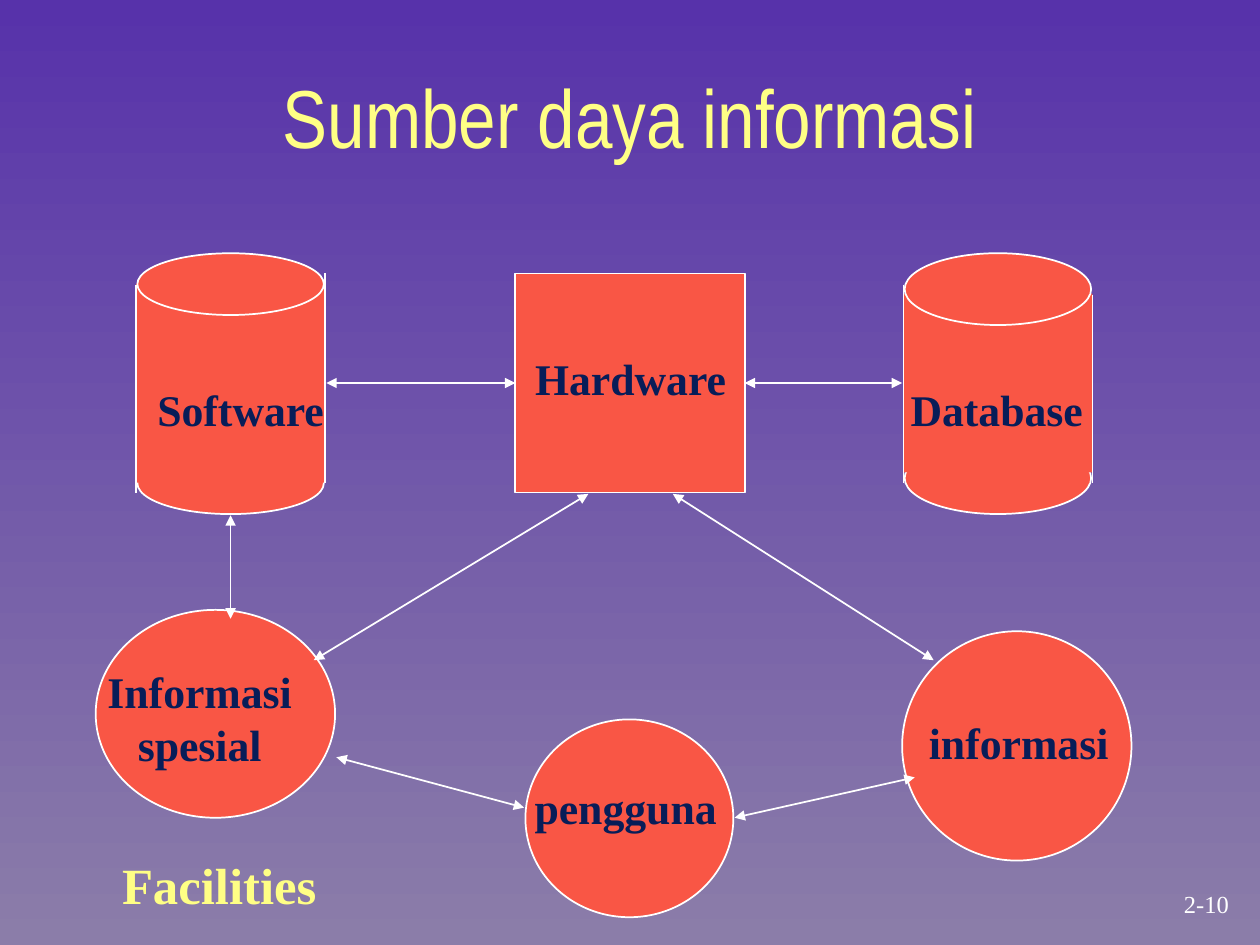
from lxml import etree
from pptx import Presentation
from pptx.dml.color import RGBColor
from pptx.enum.shapes import MSO_CONNECTOR, MSO_SHAPE
from pptx.enum.text import MSO_ANCHOR, MSO_AUTO_SIZE, PP_ALIGN
from pptx.oxml.ns import qn
from pptx.util import Inches, Pt

RECT, OVAL = MSO_SHAPE.RECTANGLE, MSO_SHAPE.OVAL
STRAIGHT = MSO_CONNECTOR.STRAIGHT
LEFT, CENTER = PP_ALIGN.LEFT, PP_ALIGN.CENTER
TOP, MIDDLE = MSO_ANCHOR.TOP, MSO_ANCHOR.MIDDLE
SIDE_LEFT, SIDE_RIGHT = 1, 3

COLORS = {
    "bg_top": "5732AA",
    "bg_bottom": "8B7DA9",
    "heading": "FFFF85",
    "node": "F95645",
    "label": "081D58",
    "line": "FFFFFF",
}
SERIF, NARROW = "Times New Roman", "Arial Narrow"


def rgb(name):
    return RGBColor.from_string(COLORS[name])


def add_background(s):
    fill = s.background.fill
    fill.gradient()
    fill.gradient_angle = 270
    for stop, name in zip(fill.gradient_stops, ("bg_top", "bg_bottom")):
        stop.color.rgb = rgb(name)


def add_text(s, box, lines, size=25, color="label", font=SERIF, bold=True,
             align=CENTER, anchor=TOP, wrap=False):
    tf = s.shapes.add_textbox(*map(Inches, box)).text_frame
    tf.word_wrap = wrap
    tf.auto_size = MSO_AUTO_SIZE.NONE if wrap else MSO_AUTO_SIZE.SHAPE_TO_FIT_TEXT
    tf.vertical_anchor = anchor
    for i, line in enumerate(lines):
        p = tf.paragraphs[0] if i == 0 else tf.add_paragraph()
        p.alignment = align
        r = p.add_run()
        r.text = line
        r.font.name, r.font.size, r.font.bold = font, Pt(size), bold
        r.font.color.rgb = rgb(color)


def add_node(s, kind, box, outline=True):
    sp = s.shapes.add_shape(kind, *map(Inches, box))
    sp.shadow.inherit = False
    sp.fill.solid()
    sp.fill.fore_color.rgb = rgb("node")
    if outline:
        sp.line.color.rgb = rgb("line")
        sp.line.width = Pt(1)
    else:
        sp.line.fill.background()
    return sp


def add_line(s, start, end, arrows=False):
    c = s.shapes.add_connector(STRAIGHT, *map(Inches, (*start, *end)))
    c.line.color.rgb = rgb("line")
    c.line.width = Pt(1)
    if arrows:
        ln = c.line._get_or_add_ln()
        for tag in ("a:headEnd", "a:tailEnd"):
            etree.SubElement(ln, qn(tag), type="triangle")
    etree.SubElement(c._element.spPr, qn("a:effectLst"))
    return c


def add_cylinder(s, box, cap, body, left_edge, right_edge):
    """Cap is an ellipse height; body and edges are (top, bottom) pairs."""
    x, y, w, h = box
    oval_x, oval_w = x + 0.01, w - 0.02
    add_node(s, OVAL, (oval_x, y + h - cap, oval_w, cap))
    add_node(s, RECT, (x, body[0], w, body[1] - body[0]), outline=False)
    add_node(s, OVAL, (oval_x, y, oval_w, cap))
    for edge_x, (top, bottom) in ((x, left_edge), (x + w, right_edge)):
        add_line(s, (edge_x, top), (edge_x, bottom))


def add_resources(s):
    # Storage cylinders
    add_cylinder(s, (1.08, 2.01, 1.5, 2.07), 0.49, (2.25, 3.83),
                 (2.26, 3.91), (2.17, 3.83))
    add_cylinder(s, (7.17, 2.01, 1.5, 2.07), 0.57, (2.33, 3.75),
                 (2.26, 3.83), (2.34, 3.83))

    # Hardware box and the circles
    hardware = add_node(s, RECT, (4.09, 2.17, 1.82, 1.74))
    for box in ((0.76, 4.84, 1.9, 1.65), (7.16, 5.01, 1.82, 1.82),
                (4.17, 5.71, 1.65, 1.57)):
        add_node(s, OVAL, box)

    # Links joined to the hardware box
    mid = 2.17 + 1.74 / 2
    add_line(s, (2.59, mid), (4.09, mid), True).end_connect(hardware, SIDE_LEFT)
    add_line(s, (5.91, mid), (7.16, mid), True).begin_connect(hardware, SIDE_RIGHT)

    # Free links
    for start, end in (((1.83, 4.09), (1.83, 4.91)),
                       ((4.67, 3.92), (2.49, 5.24)),
                       ((2.67, 6.01), (4.16, 6.41)),
                       ((5.34, 3.92), (7.41, 5.24)),
                       ((7.26, 6.17), (5.83, 6.49))):
        add_line(s, start, end, True)

    # Labels
    for box, lines in (((1.14, 2.99, 1.54, 0.52), ["Software"]),
                       ((7.12, 2.99, 1.58, 0.52), ["Database"]),
                       ((4.14, 2.74, 1.73, 0.52), ["Hardware"]),
                       ((0.75, 5.23, 1.67, 0.94), ["Informasi", "spesial"]),
                       ((4.14, 6.15, 1.65, 0.52), ["pengguna"]),
                       ((7.27, 5.63, 1.63, 0.52), ["informasi"])):
        add_text(s, box, lines)


def main():
    prs = Presentation()
    prs.slide_width, prs.slide_height = Inches(10), Inches(7.5)
    s = prs.slides.add_slide(prs.slide_layouts[6])
    add_background(s)

    # Title and caption
    add_text(s, (0.75, 0.25, 8.5, 1.33), ["Sumber daya informasi"], 47, "heading",
             NARROW, bold=False, anchor=MIDDLE, wrap=True)
    add_text(s, (0.87, 6.73, 1.75, 0.59), ["Facilities"], 29, "heading", align=LEFT)

    add_resources(s)

    # Page number
    add_text(s, (8.98, 7, 1.19, 0.34), ["2-10"], 14, "line", bold=False, anchor=MIDDLE)
    prs.save("out.pptx")


if __name__ == "__main__":
    main()
